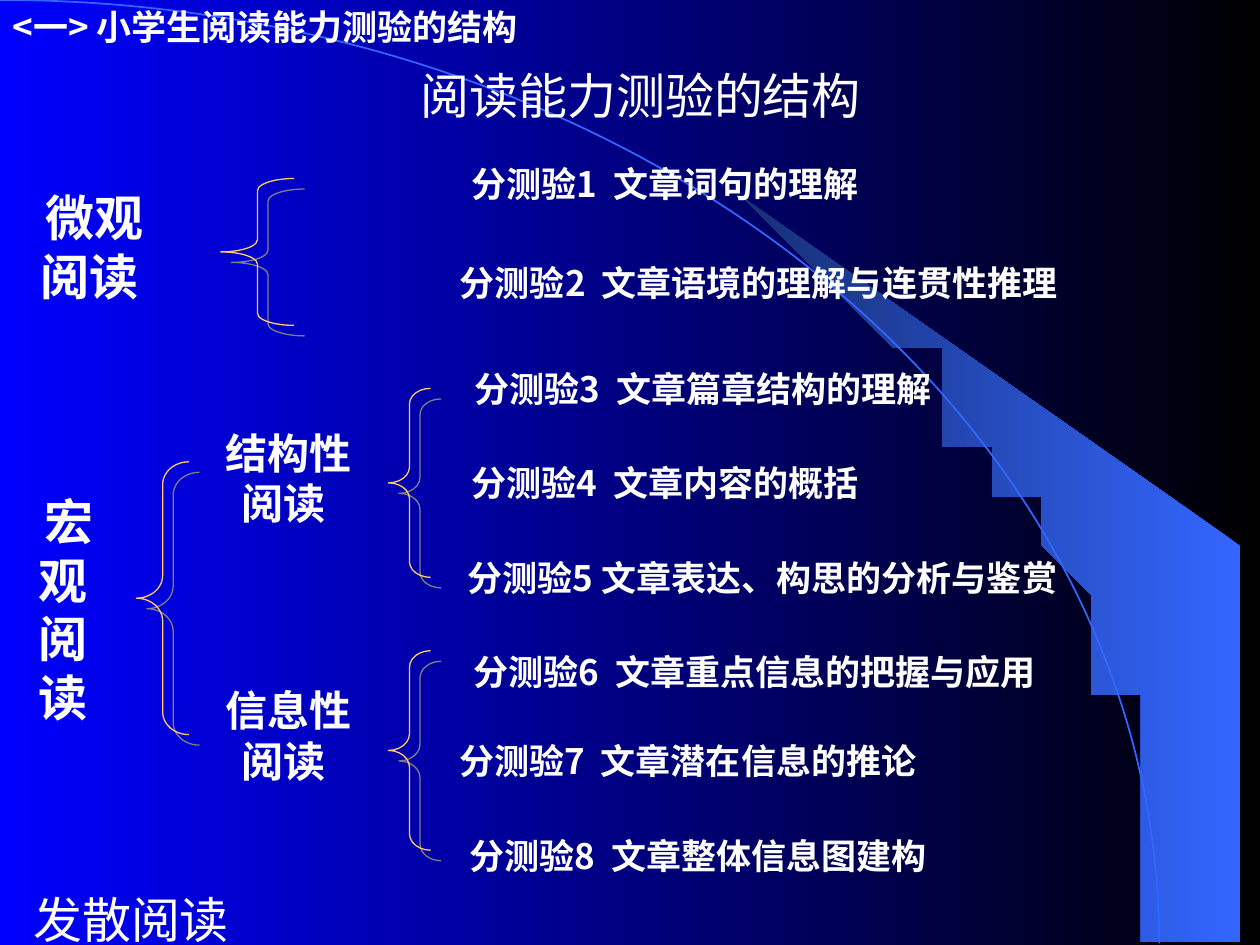
from math import cos, radians, sin
from typing import NamedTuple

from lxml import etree
from pptx import Presentation
from pptx.dml.color import RGBColor
from pptx.enum import shapes, text
from pptx.oxml import ns
from pptx.util import Cm, Pt

SANS = "Noto Sans CJK SC"
WHITE, GOLD, BLUE = "FFFFFF", "FFCC66", "3366FF"
MID, LEFT = text.PP_ALIGN.CENTER, text.PP_ALIGN.LEFT


class Box(NamedTuple):
    """A place on the slide, in centimetres."""
    left: float
    top: float
    width: float
    height: float


class Label(NamedTuple):
    box: Box
    words: str
    size: int = 20
    font: str = SANS
    bold: bool = True
    align: text.PP_ALIGN = MID


# Titles, reading kinds and the eight subtests
LABELS = [
    Label(Box(0, 3.6, 3.6, 2.75), " 微观\n阅读", 28, "Arial"),
    Label(Box(0, 9.1, 2.54, 6.35), " 宏\n观 阅\n读", 28),
    Label(Box(7.41, 2.96, 11.85, 1.48), " 分测验1  文章词句的理解"),
    Label(Box(9.02, 4.98, 16.38, 1.45), "分测验2  文章语境的理解与连贯性推理", align=LEFT),
    Label(Box(3.81, 8.68, 3.81, 1.9), " 结构性阅读", 24, "Arial"),
    Label(Box(3.6, 13.55, 4.23, 2.54), " 信息性\n阅读", 24, "Arial"),
    Label(Box(8.04, 7.2, 12.28, 1.27), "分测验3  文章篇章结构的理解"),
    Label(Box(7.62, 9.1, 11.43, 1.27), " 分测验4  文章内容的概括"),
    Label(Box(7.62, 11, 15.66, 1.27), "分测验5 文章表达、构思的分析与鉴赏 "),
    Label(Box(7.62, 12.9, 15.03, 1.27), " 分测验6  文章重点信息的把握与应用"),
    Label(Box(7.41, 14.6, 12.91, 1.48), " 分测验7  文章潜在信息的推论 "),
    Label(Box(7.41, 16.72, 13.34, 1.06), "分测验8  文章整体信息图建构"),
    Label(Box(2.12, 1.27, 21.59, 1.27), "阅读能力测验的结构", 28, "Arial", False),
    Label(Box(0, 0, 12.28, 1.06), "<一> 小学生阅读能力测验的结构", align=LEFT),
    Label(Box(0.42, 17.99, 12.28, 1.06), "发散阅读", 28, SANS, False, LEFT),
]

BRACES = [
    Box(4.45, 3.6, 1.48, 2.96),
    Box(2.75, 9.31, 1.06, 5.5),
    Box(7.83, 7.83, 0.85, 3.81),
    Box(7.83, 13.12, 0.85, 4.02),
]


def paint(color, code: str) -> None:
    color.rgb = RGBColor.from_string(code)


def blend(fill, first: str, last: str) -> None:
    """Fill from right to left."""
    fill.gradient()
    fill.gradient_angle = 180
    for stop, code in zip(fill.gradient_stops, (first, last)):
        paint(stop.color, code)


def place(box: Box) -> list[Cm]:
    return [Cm(side) for side in box]


def add_line(slide, kind, box: Box, code: str, width: float):
    """Draw an unfilled preset shape."""
    shape = slide.shapes.add_shape(kind, *place(box))
    shape.shadow.inherit = False
    shape.fill.background()
    paint(shape.line.color, code)
    shape.line.width = Pt(width)
    return shape


def add_brace(slide, box: Box) -> None:
    brace = add_line(slide, shapes.MSO_SHAPE.LEFT_BRACE, box, GOLD, 0.75)
    brace.adjustments[0] = box.height / box.width / 12
    effects = brace._element.spPr.find(ns.qn("a:effectLst"))
    shade = etree.SubElement(effects, ns.qn("a:outerShdw"), dist=str(Pt(8.5)),
                             dir="2700000", algn="ctr", rotWithShape="0")
    etree.SubElement(shade, ns.qn("a:srgbClr"), val="808080")


def add_label(slide, label: Label) -> None:
    frame = slide.shapes.add_textbox(*place(label.box)).text_frame
    frame.word_wrap = True
    frame.vertical_anchor = text.MSO_ANCHOR.MIDDLE
    frame.text = label.words
    for para in frame.paragraphs:
        para.alignment = label.align
        for run in para.runs:
            run.font.size = Pt(label.size)
            run.font.bold = label.bold
            paint(run.font.color, WHITE)
            run.font.name = label.font
            etree.SubElement(run.font._element, ns.qn("a:ea"), typeface=SANS)


def add_wedge(slide, wide: float, high: float) -> None:
    """Fill between the arc and the right edge."""
    turns = [radians(39.8 + 50.2 * step / 24) for step in range(25)]
    curve = [(wide * sin(turn), high * (1 - cos(turn))) for turn in turns]
    pen = slide.shapes.build_freeform(*curve[0], scale=Cm(1))
    pen.add_line_segments(curve[1:] + [(25.37, high), (25.37, 10.74)])
    wedge = pen.convert_to_shape()
    wedge.shadow.inherit = False
    wedge.line.fill.background()
    blend(wedge.fill, BLUE, "172F75")


def main() -> None:
    deck = Presentation()
    deck.slide_width, deck.slide_height = Cm(25.4), Cm(19.05)
    slide = deck.slides.add_slide(deck.slide_layouts[6])

    # Backdrop
    blend(slide.background.fill, "000000", "0000FF")
    wide, high = 23.37, 19.02
    add_wedge(slide, wide, high)
    add_line(slide, shapes.MSO_SHAPE.ARC, Box(-wide, 0, 2 * wide, 2 * high), BLUE, 1)

    # Structure of the test
    for box in BRACES:
        add_brace(slide, box)
    for label in LABELS:
        add_label(slide, label)

    deck.save("out.pptx")


if __name__ == "__main__":
    main()
